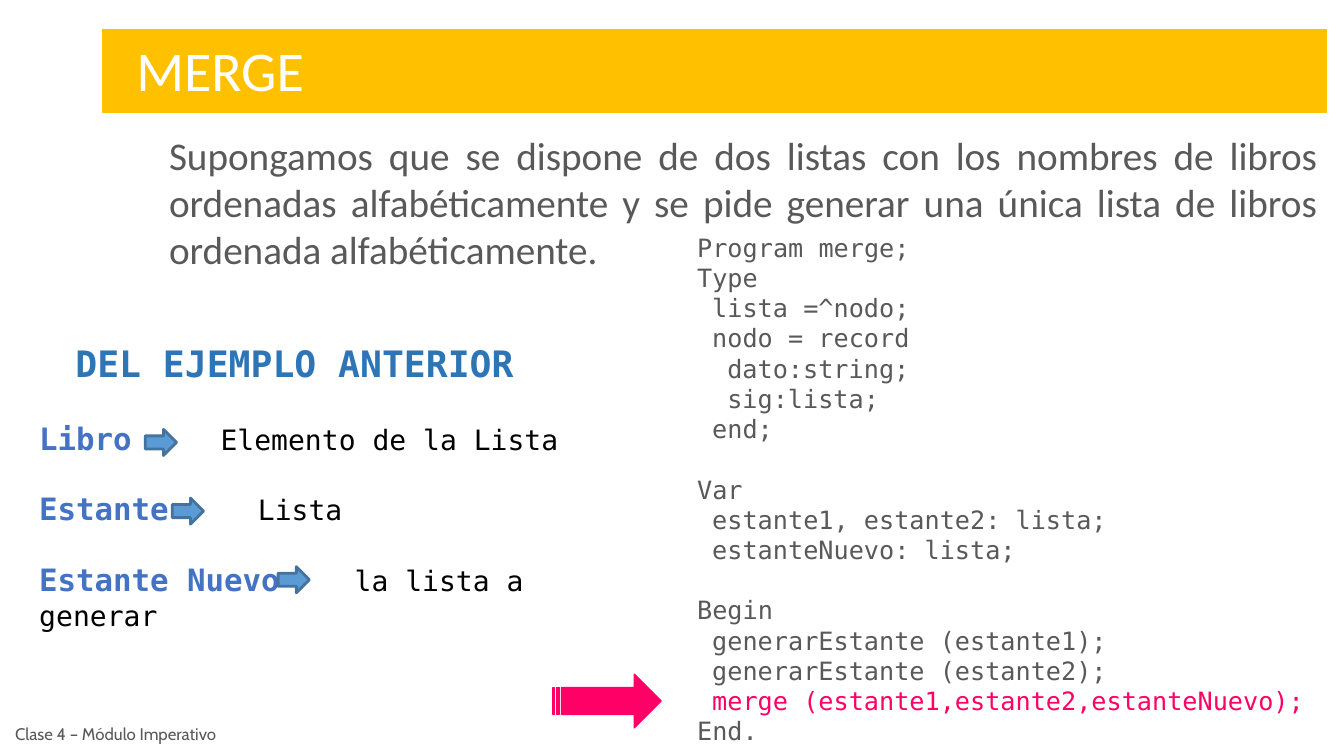
from pptx import Presentation
from pptx.dml.color import RGBColor
from pptx.enum.shapes import MSO_SHAPE
from pptx.enum.text import MSO_ANCHOR, MSO_AUTO_SIZE, PP_ALIGN
from pptx.oxml.ns import qn
from pptx.util import Cm, Pt
from lxml.etree import SubElement

MONO = "DejaVu Sans Mono"
GRAY, PINK, BLUE = "595959", "FF0066", "4472C4"
CODE = [
    (0, "Program merge;"), (0, "Type"), (1, "lista =^nodo;"),
    (1, "nodo = record"), (2, "dato:string;"), (2, "sig:lista;"),
    (1, "end;"), (0, "Var"), (1, "estante1, estante2: lista;"),
    (1, "estanteNuevo: lista;"), (0, "Begin"),
    (1, "generarEstante (estante1);"), (1, "generarEstante (estante2);"),
    (1, "merge (estante1,estante2,estanteNuevo);"), (0, "End."),
]
TERMS = [
    ("Libro", "Elemento de la Lista", 2.92, 4.57),
    ("Estante", "Lista", 3.6, 5.51),
    ("Estante Nuevo", "la lista a generar", 6.27, 7.95),
]


def color(code):
    """Turn a hex string into a colour."""
    return RGBColor.from_string(code)


def write(para, text, font="Calibri", size=18, hue=GRAY, bold=False):
    """Add a formatted run to a paragraph."""
    run = para.add_run()
    run.text = text
    run.font.name = font
    run.font.size = Pt(size)
    run.font.bold = bold
    run.font.color.rgb = color(hue)


def frame(slide, box):
    """Add a wrapping text box and return its text frame."""
    text = slide.shapes.add_textbox(*map(Cm, box)).text_frame
    text.word_wrap = True
    return text


def lines(text, count):
    """Yield the paragraphs of a frame, adding those it lacks."""
    for i in range(count):
        yield text.add_paragraph() if i else text.paragraphs[0]


def shape(slide, kind, box, fill, line, width):
    """Add a plain filled shape."""
    item = slide.shapes.add_shape(kind, *map(Cm, box))
    item.shadow.inherit = False
    item.fill.solid()
    item.fill.fore_color.rgb = color(fill)
    item.line.color.rgb = color(line)
    item.line.width = Pt(width)


def header(slide, box):
    """Draw the yellow bar and set the title on it."""
    left, top, width, height = box
    shape(slide, MSO_SHAPE.RECTANGLE, box, "FFC000", "FFC000", 1)
    title = slide.shapes.title
    slide.shapes._spTree.append(title._element)
    title.left, title.top = Cm(left + 0.59), Cm(top)
    title.width, title.height = Cm(5.44), Cm(height - 0.1)
    text = title.text_frame
    text.auto_size = MSO_AUTO_SIZE.NONE
    text.vertical_anchor = MSO_ANCHOR.TOP
    para = text.paragraphs[0]
    para.alignment = PP_ALIGN.LEFT
    write(para, "MERGE", size=40, hue="FFFFFF")


def label(slide, box, words, align=PP_ALIGN.LEFT, **style):
    """Place a text of one paragraph."""
    para = frame(slide, box).paragraphs[0]
    para.alignment = align
    write(para, words, **style)


def program(slide, box):
    """Place the code, indented by level, and point at the merge call."""
    left, top, width, height = box
    pairs = zip(lines(frame(slide, box), len(CODE)), CODE)
    for para, (level, words) in pairs:
        para.line_spacing = Pt(21.6)
        if words in ("Var", "Begin"):
            para.space_before = Pt(21.6)
        para._p.get_or_add_pPr().set("marL", str(Cm(0.38 * level)))
        hue = PINK if words.startswith("merge") else GRAY
        write(para, words, font=MONO, hue=hue)
    spot = (left - 3.38, top + 11.27, 2.72, 1.35)
    shape(slide, MSO_SHAPE.STRIPED_RIGHT_ARROW, spot, PINK, PINK, 1)


def terms(slide, box):
    """Place each term, its arrow and its meaning."""
    left, top, width, height = box
    pairs = zip(lines(frame(slide, box), len(TERMS)), TERMS)
    for i, (para, (term, sense, shift, stop)) in enumerate(pairs):
        para.line_spacing = Pt(25)
        if i:
            para.space_before = Pt(25.4)
        tabs = SubElement(para._p.get_or_add_pPr(), qn("a:tabLst"))
        SubElement(tabs, qn("a:tab"), pos=str(Cm(stop)), algn="l")
        write(para, term, font=MONO, size=22, hue=BLUE, bold=True)
        write(para, "\t" + sense, font=MONO, size=20, hue="000000")
        spot = (left + shift, top + 0.33 + 1.73 * i, 0.79, 0.66)
        shape(slide, MSO_SHAPE.RIGHT_ARROW, spot, "5B9BD5", "43739E", 2)


def main():
    """Build the slide and save it."""
    deck = Presentation()
    deck.slide_width, deck.slide_height = Cm(33.87), Cm(19.05)
    slide = deck.slides.add_slide(deck.slide_layouts[5])
    header(slide, (2.59, 0.76, 30.84, 2.06))
    label(slide, (0.13, 18.1, 5.92, 1.02), "Clase 4 – Módulo Imperativo",
          font="Cabin", size=12)
    label(slide, (4.01, 3.18, 29.44, 3.84),
          "Supongamos que se dispone de dos listas con los nombres de libros "
          "ordenadas alfabéticamente y se pide generar una única lista de "
          "libros ordenada alfabéticamente.", PP_ALIGN.JUSTIFY, size=28)
    program(slide, (17.32, 5.72, 16, 13.34))
    terms(slide, (0.74, 10.49, 15.06, 5.64))
    label(slide, (1.65, 8.46, 11.84, 1.37), "DEL EJEMPLO ANTERIOR",
          font=MONO, size=26, hue="2E75B6", bold=True)
    deck.save("out.pptx")


if __name__ == "__main__":
    main()
